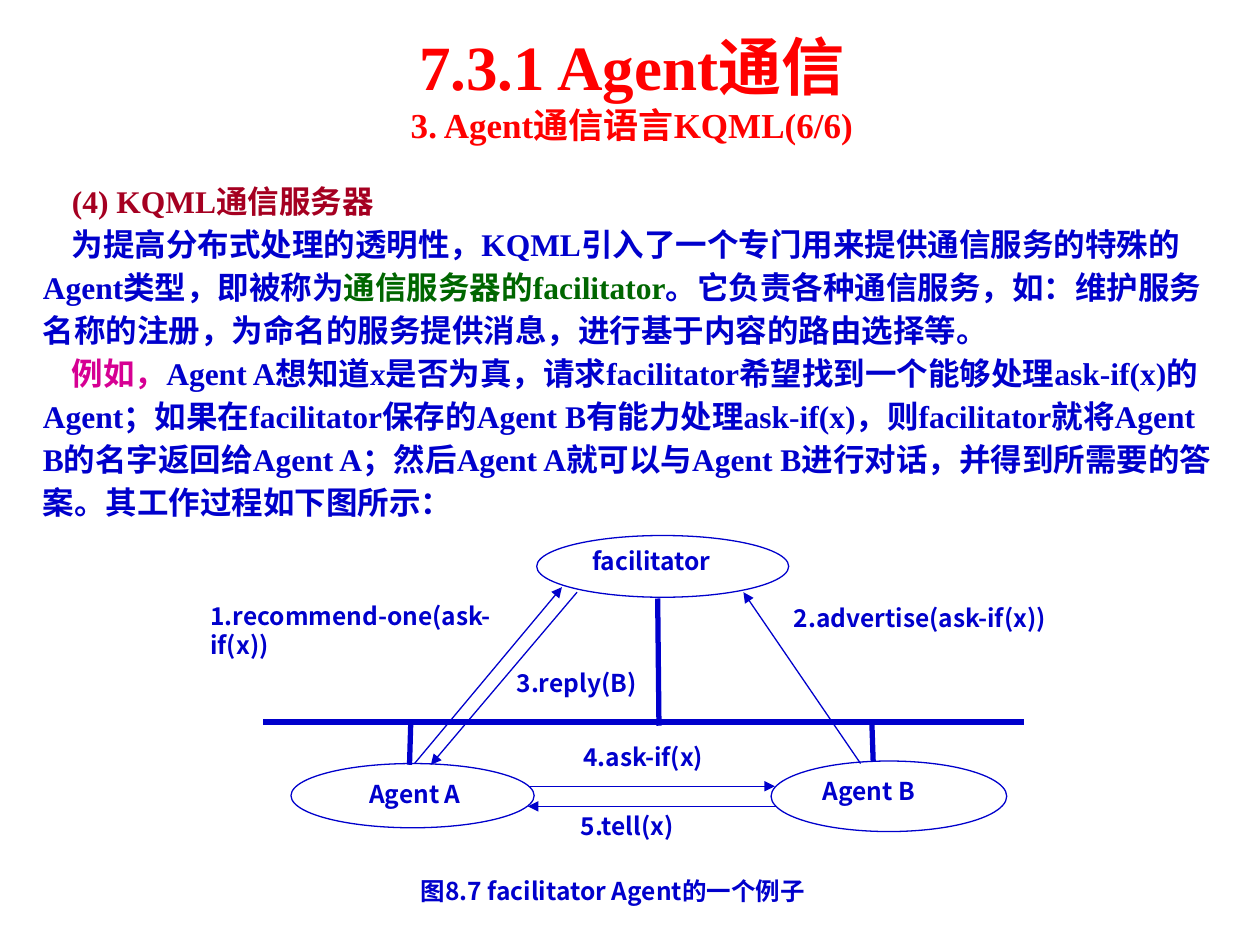
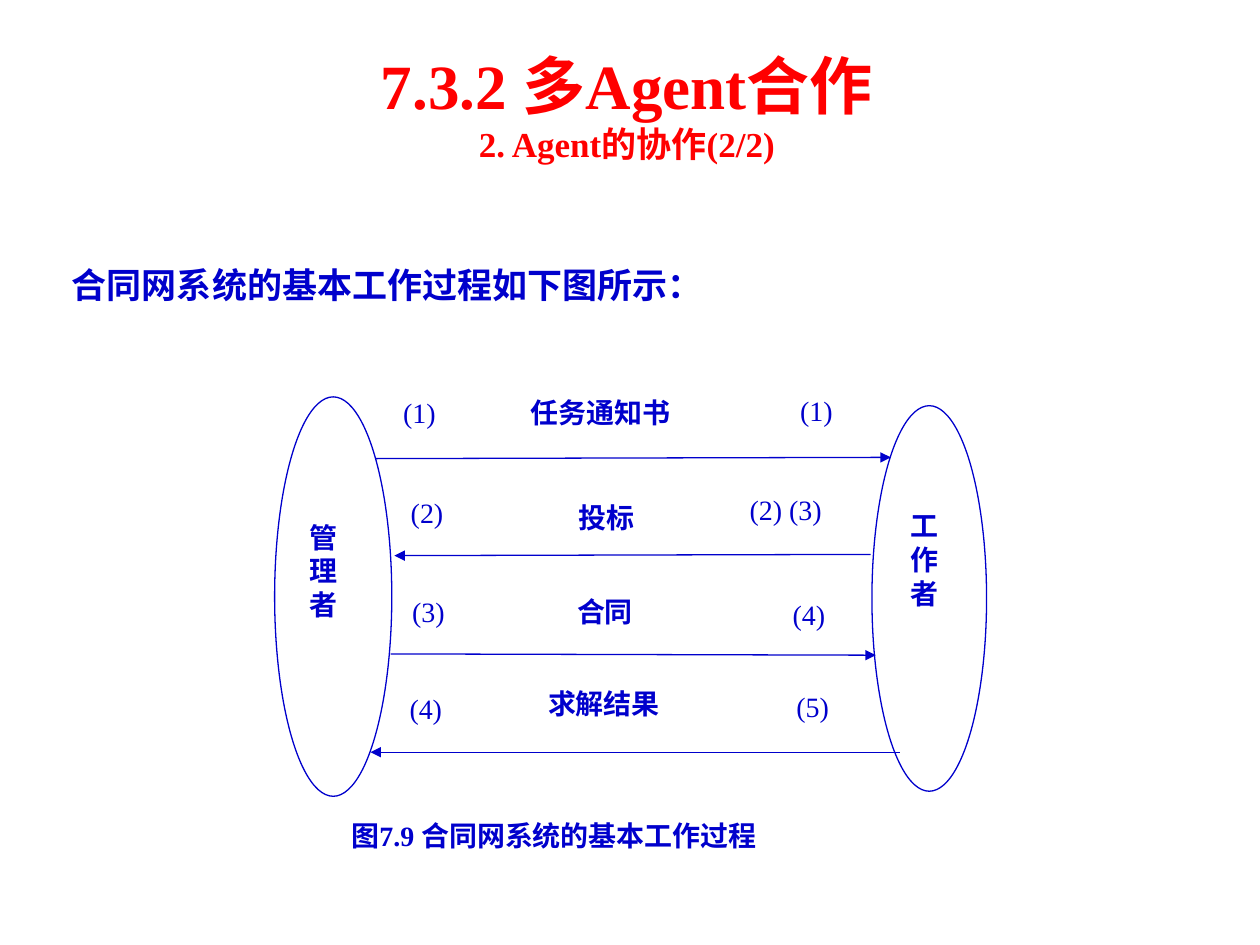
from lxml import etree
from pptx import Presentation
from pptx import util as u
from pptx.dml.color import RGBColor
from pptx.enum import shapes, text
from pptx.oxml.ns import qn

COLORS = {"title": "FF0000", "blue": "0000CC", "heading": "A50021",
          "green": "006600", "pink": "D60093", "paper": "FFFFFF"}
SERIF, SANS = "Times New Roman", "Noto Sans CJK SC"
LINE_HEIGHT = 1.2          # share of the type size
THIN, THICK = 0.75, 3
PARAGRAPH_INDENT = 0.23

# Runs are (text, colour); boxes are (left, top, width, height) in inches.
SERVER = {
    "title": ("7.3.1 Agent通信", "3. Agent通信语言KQML(6/6)"),
    "title_box": (0.31, 0.17, 9.41, 1.04),
    "body_box": (0.24, 1.35, 9.57, 2.84),
    "body_size": 18,
    "body_leading": 24.6,
    "body": [
        [("(4) KQML通信服务器", "heading")],
        [("为提高分布式处理的透明性，KQML引入了一个专门用来提供通信服务的特殊的Agent类型，即被称为", "blue"),
         ("通信服务器的facilitator", "green"),
         ("。它负责各种通信服务，如：维护服务名称的注册，为命名的服务提供消息，"
          "进行基于内容的路由选择等。", "blue")],
        [("例如，", "pink"),
         ("Agent A想知道x是否为真，请求facilitator希望找到一个能够处理ask-if(x)的Agent；"
          "如果在facilitator保存的Agent B有能力处理ask-if(x)，则facilitator就将Agent B的名字"
          "返回给Agent A；然后Agent A就可以与Agent B进行对话，并得到所需要的答案。"
          "其工作过程如下图所示：", "blue")],
    ],
    "ellipses": [(4.26, 4.25, 2, 0.49), (2.31, 6.06, 1.93, 0.51), (6.12, 6.04, 1.87, 0.56)],
    "bus": [((2.09, 5.73), (8.13, 5.73)), ((5.22, 4.75), (5.23, 5.76)),
            ((3.26, 5.74), (3.25, 6.07)), ((6.92, 5.74), (6.93, 6.04))],
    "arrows": [((3.29, 6.06), (4.46, 4.66)), ((4.58, 4.7), (3.42, 6.07)),
               ((6.83, 6.06), (5.9, 4.7)), ((4.21, 6.24), (6.15, 6.24)),
               ((6.16, 6.4), (4.19, 6.4))],
    "label_size": 14,
    "label_font": SANS,
    "names": [("facilitator", (4.68, 4.32, 1.16, 0.29)),
              ("Agent A", (2.91, 6.17, 0.79, 0.3)),
              ("Agent B", (6.51, 6.15, 0.88, 0.29))],
    "messages": [("1.recommend-one(ask-if(x))", (1.67, 4.76, 2.36, 0.33)),
                 ("2.advertise(ask-if(x))", (6.3, 4.78, 2.05, 0.33)),
                 ("3.reply(B)", (4.1, 5.29, 1, 0.29)),
                 ("4.ask-if(x)", (4.63, 5.88, 1.1, 0.29)),
                 ("5.tell(x)", (4.61, 6.43, 1.1, 0.29)),
                 ("图8.7 facilitator Agent的一个例子", (3.34, 6.94, 3.74, 0.33))],
    "steps": [],
}

CONTRACT_NET = {
    "title": ("7.3.2 多Agent合作", "2. Agent的协作(2/2)"),
    "title_box": (0.27, 0.32, 9.41, 1.04),
    "body_box": (0.24, 2.04, 5.79, 0.77),
    "body_size": 20,
    "body_leading": 24,
    "body": [[("合同网系统的基本工作过程如下图所示：", "blue")]],
    "ellipses": [(2.18, 3.15, 0.93, 3.17), (6.92, 3.22, 0.91, 3.06)],
    "bus": [],
    "arrows": [((2.98, 3.64), (7.07, 3.63)), ((6.91, 4.4), (3.13, 4.41)),
               ((3.1, 5.19), (6.95, 5.2)), ((7.14, 5.97), (2.94, 5.97))],
    "label_size": 16,
    "label_font": SERIF,
    "names": [("管理者", (2.44, 4.12, 0.43, 1.36)),
              ("工作者", (7.21, 4.03, 0.43, 1.36)),
              ("任务通知书", (4.19, 3.13, 1.51, 0.39)),
              ("投标", (4.57, 3.96, 0.81, 0.39)),
              ("合同", (4.56, 4.71, 0.81, 0.39)),
              ("求解结果", (4.33, 5.44, 1.36, 0.39)),
              ("图7.9 合同网系统的基本工作过程", (2.77, 6.49, 4.61, 0.46))],
    "messages": [],
    "steps": [("(1)", (3.18, 3.13, 0.51, 0.37)), ("(1)", (6.33, 3.11, 0.48, 0.44)),
              ("(2)", (3.24, 3.92, 0.56, 0.39)), ("(2) (3)", (5.93, 3.9, 0.89, 0.39)),
              ("(3)", (3.25, 4.71, 0.48, 0.4)), ("(4)", (6.27, 4.73, 0.48, 0.37)),
              ("(4)", (3.23, 5.48, 0.48, 0.37)), ("(5)", (6.3, 5.46, 0.56, 0.39))],
}


def rgb(name):
    return RGBColor.from_string(COLORS[name])


def inches(box):
    return [u.Inches(value) for value in box]


def format_run(run, size, color, font=SERIF, bold=True):
    run.font.size = u.Pt(size)
    run.font.bold = bold
    run.font.name = font
    run.font.color.rgb = rgb(color)
    east_asian = etree.Element(qn("a:ea"), typeface=SANS)
    run.font._element.find(qn("a:latin")).addnext(east_asian)


def format_paragraph(paragraph, leading, alignment):
    paragraph.alignment = alignment
    paragraph.line_spacing = u.Pt(leading)
    paragraph.space_before = paragraph.space_after = u.Pt(0)


def prepare_frame(shape, margins=(0.1, 0.05)):
    frame = shape.text_frame
    frame.word_wrap = True
    frame.auto_size = text.MSO_AUTO_SIZE.NONE
    frame.vertical_anchor = text.MSO_ANCHOR.TOP
    frame.margin_left = frame.margin_right = u.Inches(margins[0])
    frame.margin_top = frame.margin_bottom = u.Inches(margins[1])
    return frame


def move(shape, box):
    shape.left, shape.top, shape.width, shape.height = inches(box)


def fill_title(slide, lines, box):
    title = slide.shapes.title
    move(title, box)
    frame = prepare_frame(title)
    frame.text = "\n".join(lines)
    for paragraph, size in zip(frame.paragraphs, (36, 20)):
        format_paragraph(paragraph, size * LINE_HEIGHT, text.PP_ALIGN.CENTER)
        format_run(paragraph.runs[0], size, "title")


def fill_body(slide, paragraphs, box, size, leading):
    body = slide.placeholders[1]
    move(body, box)
    frame = prepare_frame(body)
    for index, runs in enumerate(paragraphs):
        paragraph = frame.add_paragraph() if index else frame.paragraphs[0]
        format_paragraph(paragraph, leading, text.PP_ALIGN.LEFT)
        properties = paragraph._p.get_or_add_pPr()
        properties.set("marL", "0")
        properties.set("indent", str(u.Inches(PARAGRAPH_INDENT)))
        etree.SubElement(properties, qn("a:buNone"))
        for words, color in runs:
            run = paragraph.add_run()
            run.text = words
            format_run(run, size, color)


def add_ellipse(slide, box):
    ellipse = slide.shapes.add_shape(shapes.MSO_SHAPE.OVAL, *inches(box))
    ellipse.shadow.inherit = False
    ellipse.fill.solid()
    ellipse.fill.fore_color.rgb = rgb("paper")
    ellipse.line.color.rgb = rgb("blue")
    ellipse.line.width = u.Pt(THIN)


def add_line(slide, start, end, width, arrow=False):
    line = slide.shapes.add_connector(
        shapes.MSO_CONNECTOR.STRAIGHT, *inches(start + end))
    line.line.color.rgb = rgb("blue")
    line.line.width = u.Pt(width)
    if arrow:
        etree.SubElement(line.line._get_or_add_ln(), qn("a:tailEnd"), type="triangle")
    etree.SubElement(line._element.spPr, qn("a:effectLst"))


def add_label(slide, words, box, size, font, side_margin, bold=True):
    label = slide.shapes.add_textbox(*inches(box))
    label.fill.solid()
    label.fill.fore_color.rgb = rgb("paper")
    frame = prepare_frame(label, (side_margin, 0.01))
    frame.text = words
    paragraph = frame.paragraphs[0]
    format_paragraph(paragraph, size * LINE_HEIGHT, text.PP_ALIGN.JUSTIFY)
    format_run(paragraph.runs[0], size, "blue", font, bold)


def build_slide(presentation, content):
    slide = presentation.slides.add_slide(presentation.slide_layouts[1])
    fill_title(slide, content["title"], content["title_box"])
    fill_body(slide, content["body"], content["body_box"],
              content["body_size"], content["body_leading"])
    for box in content["ellipses"]:
        add_ellipse(slide, box)
    for start, end in content["bus"]:
        add_line(slide, start, end, THICK)
    for start, end in content["arrows"]:
        add_line(slide, start, end, THIN, arrow=True)
    for group, side_margin, bold in (("names", 0.02, True), ("messages", 0, True),
                                     ("steps", 0.02, False)):
        for words, box in content[group]:
            add_label(slide, words, box, content["label_size"],
                      content["label_font"], side_margin, bold)


def main():
    presentation = Presentation()
    presentation.slide_width, presentation.slide_height = inches((10, 7.5))
    for content in (SERVER, CONTRACT_NET):
        build_slide(presentation, content)
    presentation.save("out.pptx")


if __name__ == "__main__":
    main()
